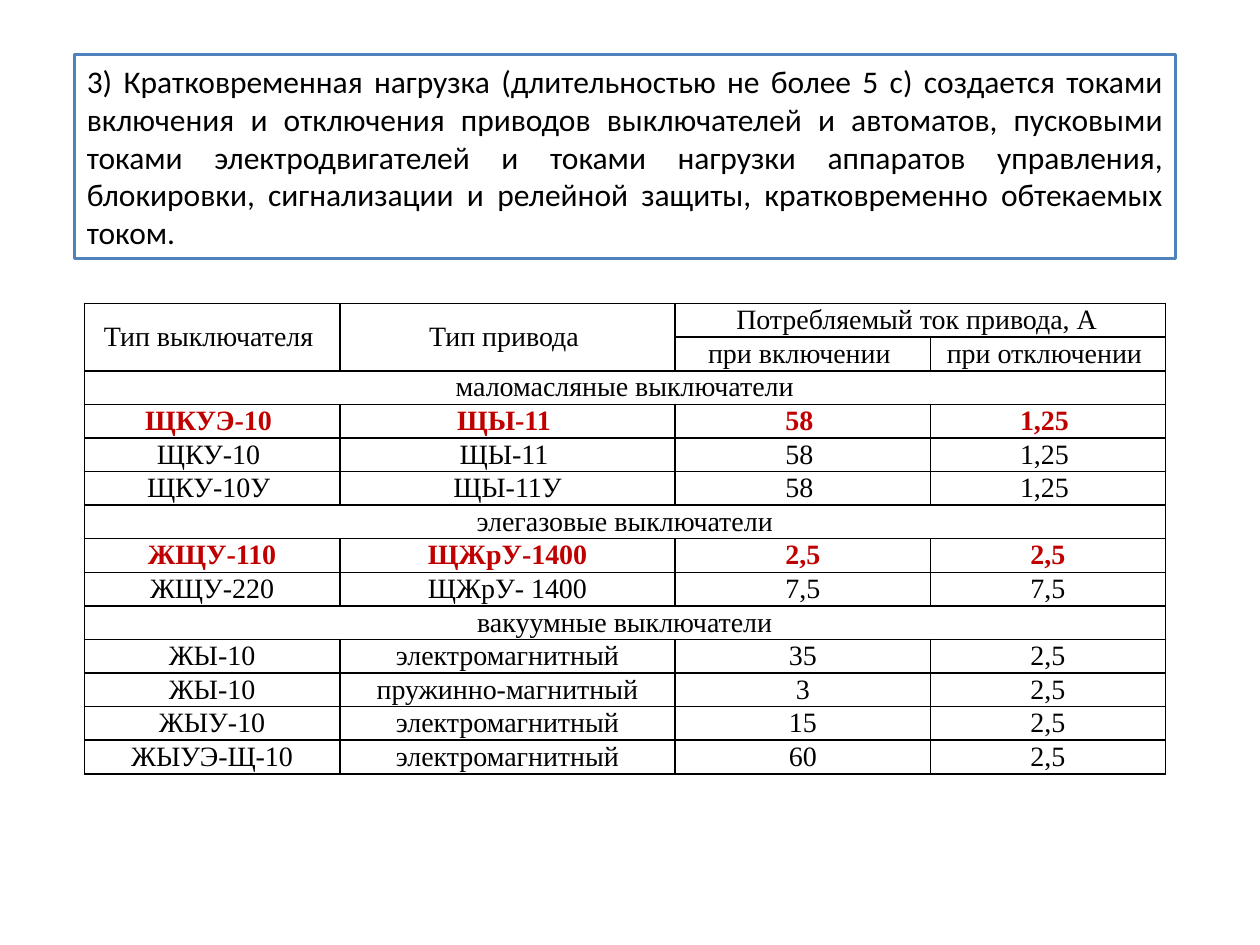
from dataclasses import dataclass

from lxml import etree
from pptx import Presentation
from pptx.dml.color import RGBColor
from pptx.enum.shapes import MSO_SHAPE
from pptx.enum.text import MSO_ANCHOR, PP_ALIGN
from pptx.oxml.ns import qn
from pptx.util import Cm, Pt

RECTANGLE = MSO_SHAPE.RECTANGLE
MIDDLE = MSO_ANCHOR.MIDDLE
CENTER, JUSTIFY = PP_ALIGN.CENTER, PP_ALIGN.JUSTIFY


@dataclass(frozen=True)
class Theme:
    text: str = "000000"
    accent: str = "C00000"
    frame: str = "4F81BD"
    border: str = "000000"
    statement_font: str = "Calibri"
    table_font: str = "Times New Roman"
    statement_size: int = 18
    table_size: int = 16
    frame_width: int = 2
    border_width: int = 1


THEME = Theme()

STATEMENT = (
    "3) Кратковременная нагрузка (длительностью не более 5 с) создается токами "
    "включения и отключения приводов выключателей и автоматов, пусковыми токами "
    "электродвигателей и токами нагрузки аппаратов управления, блокировки, "
    "сигнализации и релейной защиты, кратковременно обтекаемых током."
)

HEADER = [
    ["Тип выключателя ", "Тип привода ", "Потребляемый ток привода, А ", None],
    [None, None, "при включении ", "при отключении "],
]
HEADER_MERGES = [((0, 0), (1, 0)), ((0, 1), (1, 1)), ((0, 2), (0, 3))]

GROUPS = [
    ("маломасляные выключатели", [
        ["ЩКУЭ-10 ", "ЩЫ-11 ", "58 ", "1,25 "],
        ["ЩКУ-10 ", "ЩЫ-11 ", "58 ", "1,25 "],
        ["ЩКУ-10У ", "ЩЫ-11У", "58 ", "1,25 "],
    ]),
    ("элегазовые выключатели", [
        ["ЖЩУ-110", "ЩЖрУ-1400", "2,5", "2,5"],
        ["ЖЩУ-220", "ЩЖрУ- 1400", "7,5", "7,5"],
    ]),
    ("вакуумные выключатели", [
        ["ЖЫ-10", "электромагнитный", "35", "2,5"],
        ["ЖЫ-10", "пружинно-магнитный", "3", "2,5"],
        ["ЖЫУ-10", "электромагнитный", "15", "2,5"],
        ["ЖЫУЭ-Щ-10", "электромагнитный", "60", "2,5"],
    ]),
]
HIGHLIGHTED = {"ЩКУЭ-10 ", "ЖЩУ-110"}

COLUMN_WIDTHS = [5.15, 6.76, 5.15, 4.73]
TABLE_LEFT, TABLE_TOP, TABLE_HEIGHT = 1.7, 6.12, 9.48


def format_text(text_frame, alignment, font_name, size, color, bold=False):
    for paragraph in text_frame.paragraphs:
        paragraph.alignment = alignment
        for run in paragraph.runs:
            run.font.name = font_name
            run.font.size = Pt(size)
            run.font.bold = bold
            run.font.color.rgb = RGBColor.from_string(color)


def add_borders(cell):
    properties = cell._tc.get_or_add_tcPr()
    for side in ("a:lnL", "a:lnR", "a:lnT", "a:lnB"):
        line = etree.SubElement(properties, qn(side), w=str(Pt(THEME.border_width)))
        fill = etree.SubElement(line, qn("a:solidFill"))
        etree.SubElement(fill, qn("a:srgbClr"), val=THEME.border)


def add_statement(slide):
    shape = slide.shapes.add_shape(RECTANGLE, Cm(1.5), Cm(1.1), Cm(22.2), Cm(4.11))
    shape.shadow.inherit = False
    shape.fill.background()
    shape.line.color.rgb = RGBColor.from_string(THEME.frame)
    shape.line.width = Pt(THEME.frame_width)
    text_frame = shape.text_frame
    text_frame.word_wrap = True
    text_frame.vertical_anchor = MIDDLE
    text_frame.text = STATEMENT
    format_text(text_frame, JUSTIFY, THEME.statement_font, THEME.statement_size, THEME.text)


def add_drive_table(slide):
    rows, merges = list(HEADER), list(HEADER_MERGES)
    last_column = len(COLUMN_WIDTHS) - 1
    for group, records in GROUPS:
        merges.append(((len(rows), 0), (len(rows), last_column)))
        rows += [[group] + [None] * last_column] + records

    table = slide.shapes.add_table(
        len(rows), len(COLUMN_WIDTHS), Cm(TABLE_LEFT), Cm(TABLE_TOP),
        Cm(sum(COLUMN_WIDTHS)), Cm(TABLE_HEIGHT),
    ).table
    table.first_row = False
    table.horz_banding = False
    for column, width in zip(table.columns, COLUMN_WIDTHS):
        column.width = Cm(width)

    for row_index, values in enumerate(rows):
        table.rows[row_index].height = Cm(TABLE_HEIGHT / len(rows))
        highlighted = values[0] in HIGHLIGHTED
        color = THEME.accent if highlighted else THEME.text
        for column_index, value in enumerate(values):
            cell = table.cell(row_index, column_index)
            cell.margin_left = cell.margin_right = Cm(0.18)
            cell.margin_top = cell.margin_bottom = 0
            cell.vertical_anchor = MIDDLE
            add_borders(cell)
            cell.fill.background()
            if value:
                cell.text_frame.text = value
                format_text(cell.text_frame, CENTER, THEME.table_font,
                            THEME.table_size, color, highlighted)

    for first, last in merges:
        table.cell(*first).merge(table.cell(*last))


def main():
    presentation = Presentation()
    presentation.slide_width, presentation.slide_height = Cm(25.4), Cm(19.05)
    slide = presentation.slides.add_slide(presentation.slide_layouts[6])
    add_statement(slide)
    add_drive_table(slide)
    presentation.save("out.pptx")


if __name__ == "__main__":
    main()
